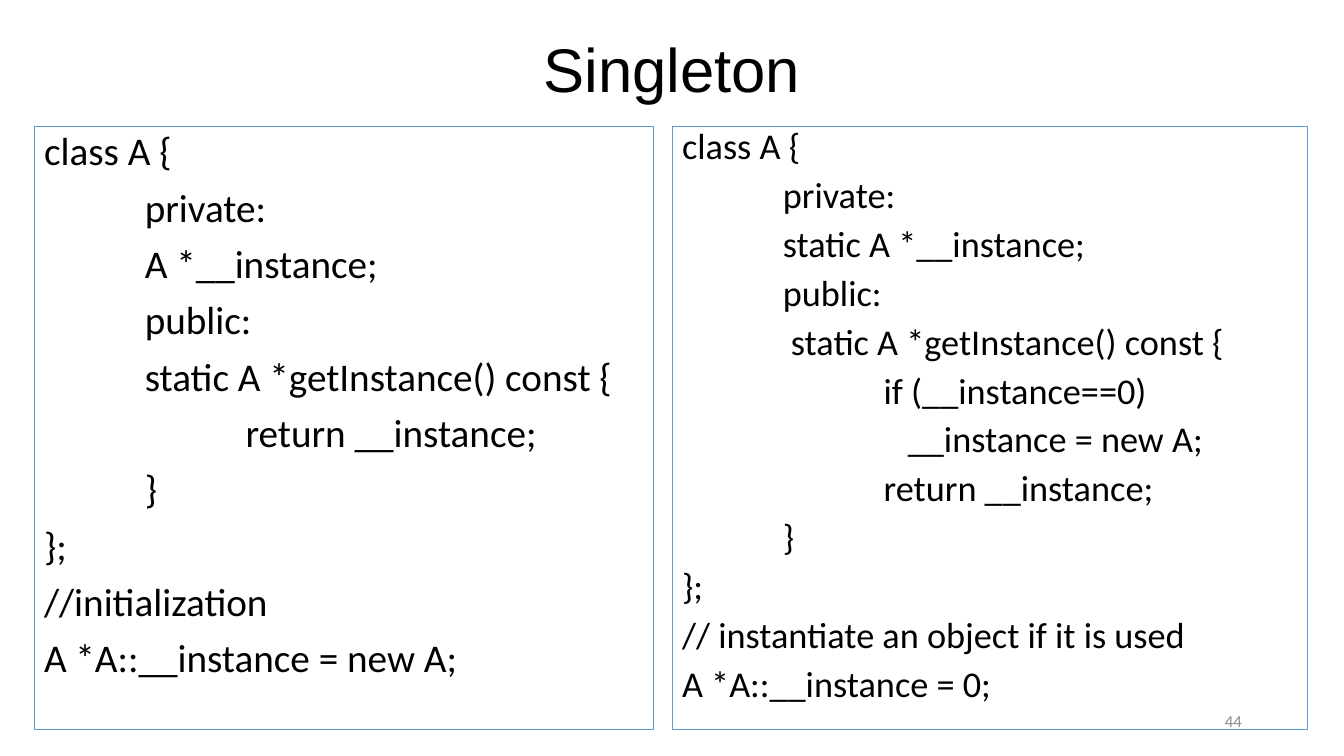
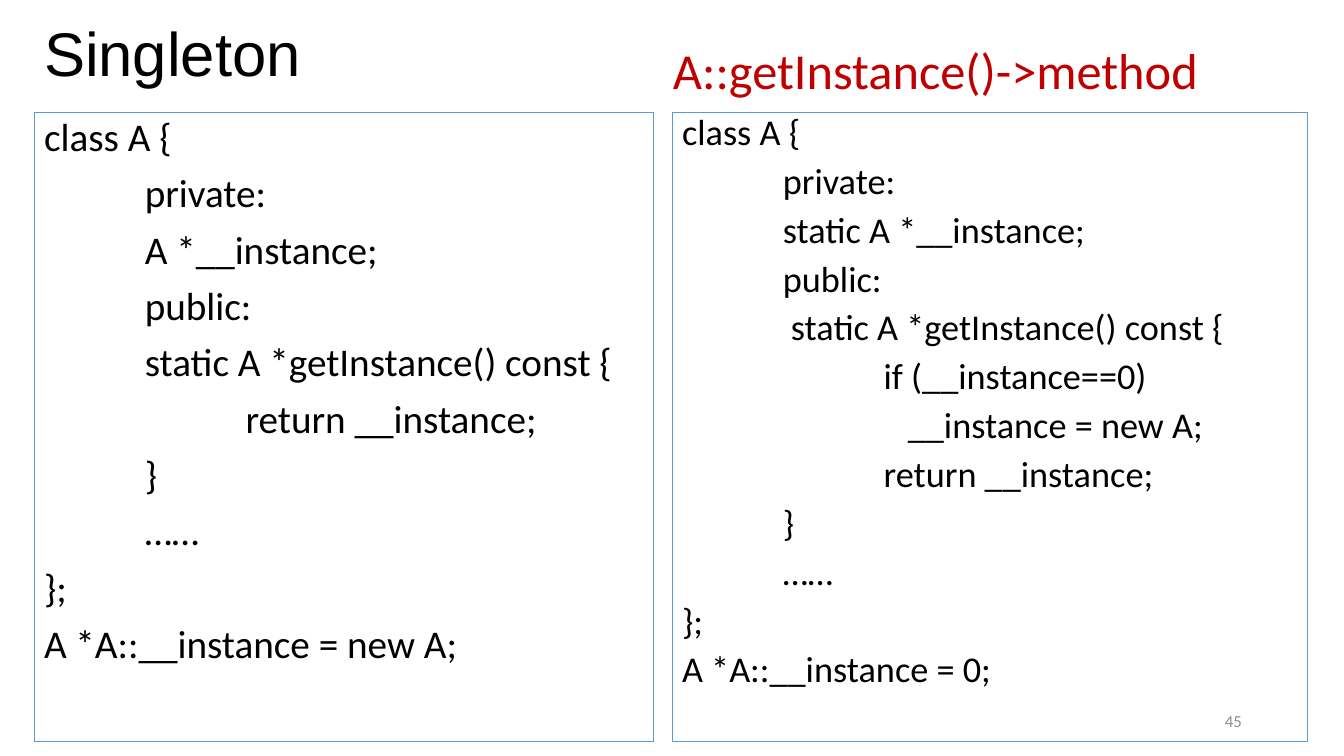
"""Build two slides that compare eager and lazy Singleton code."""
from pptx import Presentation
from pptx.dml.color import RGBColor
from pptx.enum.text import MSO_ANCHOR as Anchor, PP_ALIGN as Align
from pptx.util import Cm, Pt

BLACK = RGBColor(0x00, 0x00, 0x00)
BLUE = RGBColor(0x5B, 0x9B, 0xD5)
RED = RGBColor(0xC0, 0x00, 0x00)
GRAY = RGBColor(0x8C, 0x8C, 0x8C)

TAB = Cm(2.54)
TITLE_HEIGHT = 3.68
TITLE = dict(size=44, font="Arial", spacing=0.9)
CALL = dict(size=36, color=RED, spacing=0.9)
NUMBER = dict(size=12, color=GRAY, align=Align.RIGHT)
EAGER_STYLE = dict(size=28, spacing=0.9, before=10)
LAZY_STYLE = dict(size=25.9, spacing=0.8, before=10)

EAGER_CLASS = [
    (0, "class A {"),
    (1, "private:"),
    (1, "A *__instance;"),
    (1, "public:"),
    (1, "static A *getInstance() const {"),
    (2, "return __instance;"),
    (1, "}"),
]
LAZY_CLASS = [
    (0, "class A {"),
    (1, "private:"),
    (1, "static A *__instance;"),
    (1, "public:"),
    (1.08, "static A *getInstance() const {"),
    (2, "if (__instance==0)"),
    (2.24, "__instance = new A;"),
    (2, "return __instance;"),
    (1, "}"),
]
CLASS_END = (0, "};")
ELLIPSIS = (1, "……")
EAGER_START = (0, "A *A::__instance = new A;")
LAZY_START = (0, "A *A::__instance = 0;")


def set_values(target, values):
    """Set each attribute of the target from a dict."""
    for name, value in values.items():
        setattr(target, name, value)


def add_paragraph(paragraph, level, text, size, font="Calibri", color=BLACK,
                  align=Align.LEFT, spacing=1.0, before=0):
    """Fill a paragraph, indented by a number of tab widths."""
    set_values(paragraph, dict(alignment=align, line_spacing=spacing,
                               space_before=Pt(before)))
    if level:
        properties = paragraph._p.get_or_add_pPr()
        properties.set("marL", str(int(TAB * level)))
        properties.set("indent", "0")
    run = paragraph.add_run()
    run.text = text
    set_values(run.font, dict(size=Pt(size), name=font))
    run.font.color.rgb = color


def add_text(slide, box, lines, anchor=Anchor.MIDDLE, **style):
    """Add a text box holding (level, text) lines."""
    shape = slide.shapes.add_textbox(*map(Cm, box))
    frame = shape.text_frame
    set_values(frame, dict(word_wrap=True, vertical_anchor=anchor))
    for index, (level, text) in enumerate(lines):
        paragraph = frame.add_paragraph() if index else frame.paragraphs[0]
        add_paragraph(paragraph, level, text, **style)
    return shape


def add_code(slide, box, lines, style):
    """Add a code listing in a thin blue frame."""
    shape = add_text(slide, box, lines, Anchor.TOP, **style)
    shape.line.color.rgb = BLUE
    shape.line.width = Pt(0.75)


def add_listings(slide, top, height, eager, lazy):
    """Add the eager and lazy listings side by side."""
    add_code(slide, (0.86, top, 15.62, height), eager, EAGER_STYLE)
    add_code(slide, (16.94, top, 16, height), lazy, LAZY_STYLE)


def add_title(slide, left, top, width, align):
    """Add the slide title."""
    add_text(slide, (left, top, width, TITLE_HEIGHT), [(0, "Singleton")],
             align=align, **TITLE)


def add_number(slide, number):
    """Add the slide number."""
    add_text(slide, (23.93, 17.65, 7.62, 1.02), [(0, str(number))], **NUMBER)


def add_initialization_slide(slide):
    """Show both classes with comments on initialization."""
    add_title(slide, 0, 0, 33.87, Align.CENTER)
    add_listings(
        slide, 3.2, 15.19,
        EAGER_CLASS + [CLASS_END, (0, "//initialization"), EAGER_START],
        LAZY_CLASS + [CLASS_END, (0, "// instantiate an object if it is used"),
                      LAZY_START])
    add_number(slide, 44)


def add_usage_slide(slide):
    """Show both classes and how a method is called."""
    add_title(slide, 0.86, -0.41, 7.8, Align.LEFT)
    add_listings(slide, 2.84, 15.85,
                 EAGER_CLASS + [ELLIPSIS, CLASS_END, EAGER_START],
                 LAZY_CLASS + [ELLIPSIS, CLASS_END, LAZY_START])
    add_text(slide, (16.71, 0, 16.43, TITLE_HEIGHT),
             [(0, "A::getInstance()->method")], **CALL)
    add_number(slide, 45)


def main():
    """Build and save the presentation."""
    presentation = Presentation()
    set_values(presentation, dict(slide_width=Cm(33.87), slide_height=Cm(19.05)))
    blank = presentation.slide_layouts[6]
    for fill_slide in (add_initialization_slide, add_usage_slide):
        fill_slide(presentation.slides.add_slide(blank))
    presentation.save("out.pptx")


main()
